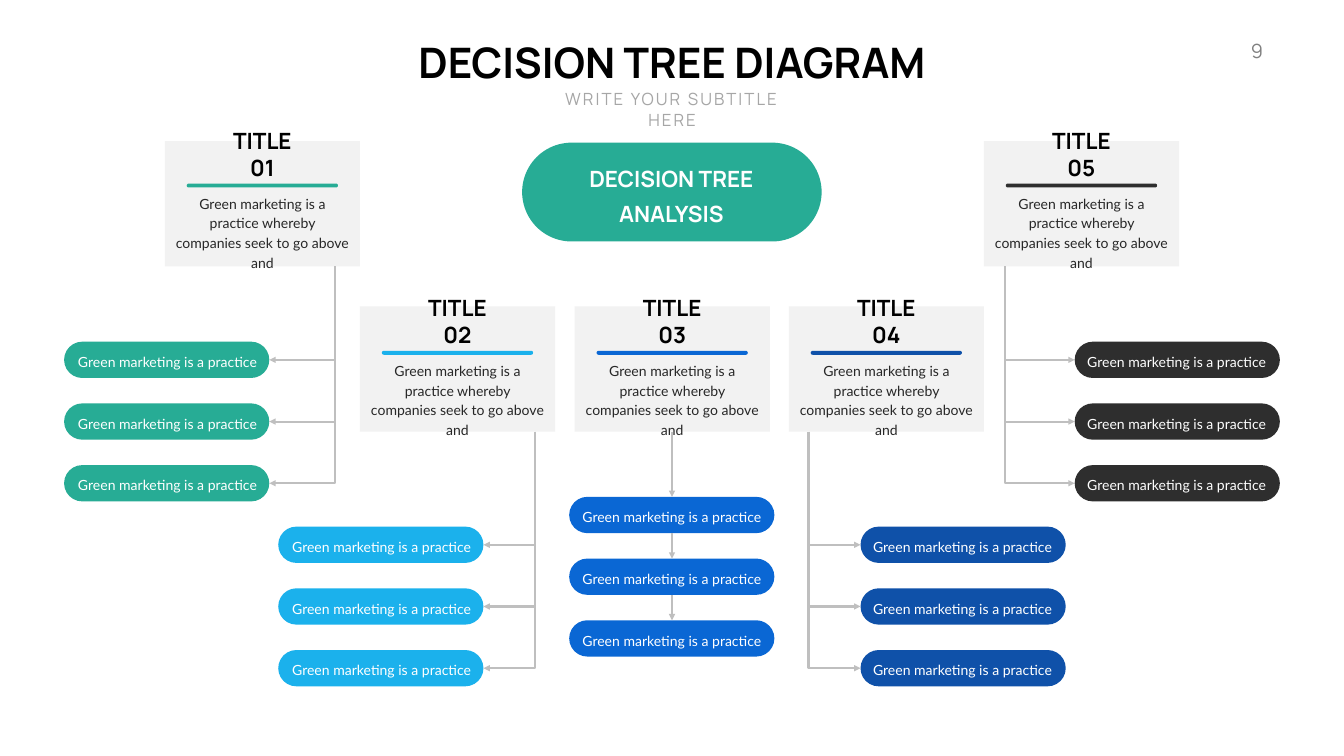
"""Build the decision tree diagram slide."""
from lxml.etree import SubElement
from pptx import Presentation
from pptx.dml.color import RGBColor
from pptx.enum.shapes import MSO_CONNECTOR, MSO_SHAPE
from pptx.enum.text import MSO_ANCHOR, PP_ALIGN
from pptx.oxml.ns import qn
from pptx.util import Cm, Pt

HUES = {
    "green": "27AC95", "sky": "1BB1EC", "blue": "0A67D4", "navy": "0F51A9",
    "dark": "2E2E2E", "card": "F2F2F2", "line": "BFBFBF", "black": "000000",
    "white": "FFFFFF", "body": "272727", "gray": "A6A6A6", "page": "808080",
}
MID = 33.86
CARD_W, CARD_H = 9.83, 6.32
PILL_W, PILL_H, STEP = 10.34, 1.83, 3.11
BAR_W = 7.62
LEFT, RIGHT, CENTER = PP_ALIGN.LEFT, PP_ALIGN.RIGHT, PP_ALIGN.CENTER
TOP, MIDDLE, BOTTOM = MSO_ANCHOR.TOP, MSO_ANCHOR.MIDDLE, MSO_ANCHOR.BOTTOM

deck = Presentation()
deck.slide_width, deck.slide_height = Cm(67.72), Cm(38.1)
slide = deck.slides.add_slide(deck.slide_layouts[6])
shapes = slide.shapes


def block(x, y, w, h, hue, kind=MSO_SHAPE.ROUNDED_RECTANGLE):
    shape = shapes.add_shape(kind, Cm(x), Cm(y), Cm(w), Cm(h))
    shape.shadow.inherit = False
    shape.fill.solid()
    shape.fill.fore_color.rgb = RGBColor.from_string(HUES[hue])
    shape.line.fill.background()
    if kind == MSO_SHAPE.ROUNDED_RECTANGLE:
        shape.adjustments[0] = 0.5


def write(x, y, w, h, lines, size, hue, face="Manrope", bold=False,
          align=CENTER, anchor=TOP, space=None, gap=None, wrap=True, pad=None):
    frame = shapes.add_textbox(Cm(x), Cm(y), Cm(w), Cm(h)).text_frame
    frame.word_wrap = wrap
    frame.vertical_anchor = anchor
    if pad is not None:
        frame.margin_left = frame.margin_right = Cm(pad)
        frame.margin_top = frame.margin_bottom = Cm(pad)
    for i, line in enumerate(lines):
        para = frame.paragraphs[0] if i == 0 else frame.add_paragraph()
        para.alignment = align
        if space:
            para.line_spacing = Pt(space)
        run = para.add_run()
        run.text = line
        run.font.name, run.font.size, run.font.bold = face, Pt(size), bold
        run.font.color.rgb = RGBColor.from_string(HUES[hue])
        if gap:
            run._r.get_or_add_rPr().set("spc", str(gap * 100))


write(61.65, 1.83, 2.24, 1.45, ["9"], 28, "page", align=RIGHT, gap=3)
write(20.4, 1.7, 26.92, 2.82, ["DECISION TREE DIAGRAM"], 60, "black", bold=True)
write(26.97, 4.37, 13.79, 1.27, ["WRITE YOUR SUBTITLE HERE"], 24, "gray", gap=3)
block(26.31, 7.19, 15.09, 4.98, "green")
write(29.41, 7.82, 8.84, 3.71, ["DECISION TREE", "ANALYSIS"], 32, "white",
      bold=True, anchor=MIDDLE, space=50, wrap=False)

trees = [
    ("TITLE 01", "green", 8.31, 7.11, 9.25, 3.23, 17.22, 16.89, RIGHT),
    ("TITLE 02", "sky", 18.14, 15.44, 17.68, 14.02, 26.54, 26.97, RIGHT),
    ("TITLE 03", "blue", 28.96, 15.44, 17.68, 28.68, 25.04, MID, CENTER),
    ("TITLE 04", "navy", 39.75, 15.44, 17.68, 43.36, 26.54, 40.74, LEFT),
    ("TITLE 05", "dark", 49.58, 7.11, 9.25, 54.15, 17.22, 50.62, LEFT),
]

for title, hue, card_x, card_y, bar_y, pill_x, pill_y, stem, align in trees:
    block(card_x, card_y, CARD_W, CARD_H, "card", MSO_SHAPE.RECTANGLE)
    foot = card_y + CARD_H

    for i in range(3):
        y = pill_y + i * STEP
        block(pill_x, y, PILL_W, PILL_H, hue)

        if align == CENTER:
            start = foot if i == 0 else y - STEP + PILL_H
            ends, kind, turn = (stem, start, stem, y), MSO_CONNECTOR.STRAIGHT, 0
        else:
            tip = pill_x if align == LEFT else pill_x + PILL_W
            drop, reach = y + PILL_H / 2 - foot, abs(tip - stem)
            mid_x, mid_y = (stem + tip) / 2, foot + drop / 2
            half = -drop / 2 if align == LEFT else drop / 2
            ends = (mid_x - half, mid_y - reach / 2, mid_x + half, mid_y + reach / 2)
            kind, turn = MSO_CONNECTOR.ELBOW, 270 if align == LEFT else 90
        link = shapes.add_connector(kind, *[Cm(n) for n in ends])
        link.line.color.rgb = RGBColor.from_string(HUES["line"])
        link.line.width = Pt(3)
        props = link.element.spPr
        if turn:
            props.find(qn("a:xfrm")).set("rot", str(turn * 60000))
            props.find(qn("a:prstGeom")).set("prst", "bentConnector2")
        SubElement(props.find(qn("a:ln")), qn("a:tailEnd"), type="triangle")
        SubElement(props, qn("a:effectLst"))

        write(pill_x + 0.5, y + 0.3, 9.35, 1.22, ["Green marketing is a practice"],
              20, "white", "Lato", align=align, anchor=MIDDLE, space=30, pad=0.13)

    bar_x = card_x + 1.1
    write(bar_x + BAR_W / 2 - 2.45, bar_y - 1.63, 4.9, 1.63, [title], 32, "black",
          bold=True, anchor=BOTTOM)
    block(bar_x, bar_y, BAR_W, 0.2, hue)
    write(bar_x - 0.82, bar_y + 0.33, 9.27, 3.15,
          ["Green marketing is a practice whereby companies seek to go above and"],
          20, "body", "Lato", space=28)

deck.save("out.pptx")
